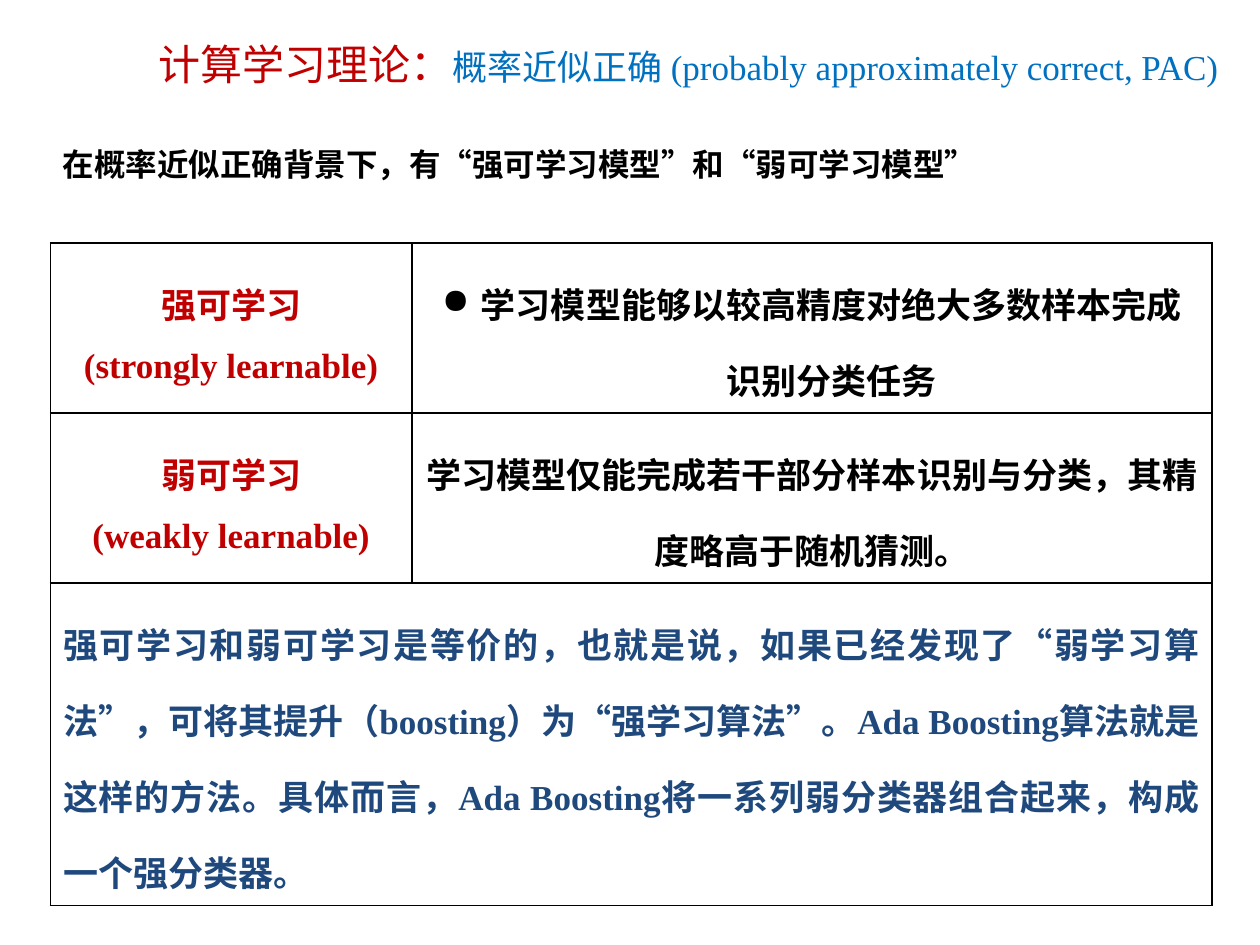
import pptx
import pptx.dml.color
import pptx.enum.text
import pptx.oxml
import pptx.oxml.ns
import pptx.util

Inches = pptx.util.Inches
Align = pptx.enum.text.PP_ALIGN
Anchor = pptx.enum.text.MSO_ANCHOR
FONT = "Times New Roman"
RED, BLUE, NAVY, BLACK = "C00000", "0070C0", "1F497D", "000000"
CELL_FORMAT = {"margin_left": Inches(0.1), "margin_right": Inches(0.1),
               "margin_top": Inches(0.07), "margin_bottom": Inches(0.07)}


def set_attributes(target, values):
    for name, value in values.items():
        setattr(target, name, value)


def set_color(color_format, value):
    color_format.rgb = pptx.dml.color.RGBColor.from_string(value)


def add_run(paragraph, text, size, color, bold):
    run = paragraph.add_run()
    run.text = text
    set_attributes(run.font, {"name": FONT, "size": pptx.util.Pt(size), "bold": bold})
    set_color(run.font.color, color)


def add_text(slide, box, frame_format, runs, paragraph_format):
    shape = slide.shapes.add_textbox(*map(Inches, box))
    set_attributes(shape.text_frame, frame_format)
    paragraph = shape.text_frame.paragraphs[0]
    set_attributes(paragraph, paragraph_format)
    for run in runs:
        add_run(paragraph, *run)


def add_bullet(paragraph, character, indent):
    properties = paragraph._p.get_or_add_pPr()
    properties.set("marL", str(indent))
    properties.set("indent", str(-indent))
    bullet = pptx.oxml.parse_xml(
        f'<a:buChar {pptx.oxml.ns.nsdecls("a")} char="{character}"/>')
    properties.append(bullet)


def set_borders(cell, color, width):
    properties = cell._tc.get_or_add_tcPr()
    for position, side in enumerate(("lnL", "lnR", "lnT", "lnB")):
        line = pptx.oxml.parse_xml(
            f'<a:{side} {pptx.oxml.ns.nsdecls("a")} w="{pptx.util.Pt(width)}">'
            f'<a:solidFill><a:srgbClr val="{color}"/></a:solidFill></a:{side}>')
        properties.insert(position, line)


def fill_cell(cell, lines, color, alignment=Align.CENTER, bullet=None):
    for index, text in enumerate(lines):
        frame = cell.text_frame
        paragraph = frame.add_paragraph() if index else frame.paragraphs[0]
        set_attributes(paragraph, {"alignment": alignment, "line_spacing": 1.5})
        if bullet:
            add_bullet(paragraph, bullet, Inches(0.31))
        add_run(paragraph, text, 20, color, True)


def add_grid(slide, left, top, widths, heights):
    table = slide.shapes.add_table(
        len(heights), len(widths), Inches(left), Inches(top),
        Inches(sum(widths)), Inches(sum(heights))).table
    set_attributes(table, {"first_row": False, "horz_banding": False})
    for column, width in zip(table.columns, widths):
        column.width = Inches(width)
    for row, height in zip(table.rows, heights):
        row.height = Inches(height)
    for cell in table.iter_cells():
        set_attributes(cell, CELL_FORMAT)
        cell.fill.background()
        set_borders(cell, BLACK, 1)
    return table


def add_learnability_table(slide):
    table = add_grid(slide, 0.4, 1.93, (2.87, 6.35), (1.26, 1.26, 1.93))
    models = (
        (("强可学习", "(strongly learnable)"),
         "学习模型能够以较高精度对绝大多数样本完成识别分类任务", "●"),
        (("弱可学习", "(weakly learnable)"),
         "学习模型仅能完成若干部分样本识别与分类，其精度略高于随机猜测。", None),
    )
    for row, (names, description, bullet) in enumerate(models):
        fill_cell(table.cell(row, 0), names, RED)
        fill_cell(table.cell(row, 1), [description], BLACK, bullet=bullet)
    summary = table.cell(2, 0)
    summary.merge(table.cell(2, 1))
    fill_cell(summary, [
        "强可学习和弱可学习是等价的，也就是说，如果已经发现了“弱学习算法”，"
        "可将其提升（boosting）为“强学习算法”。Ada Boosting算法就是这样的方法。"
        "具体而言，Ada Boosting将一系列弱分类器组合起来，构成一个强分类器。",
    ], NAVY, Align.JUSTIFY)


def main():
    presentation = pptx.Presentation()
    set_attributes(presentation, {"slide_width": Inches(10), "slide_height": Inches(7.5)})
    slide = presentation.slides.add_slide(presentation.slide_layouts[6])
    add_learnability_table(slide)
    add_text(slide, (0.67, 0.27, 9.59, 0.72),
             {"word_wrap": True, "vertical_anchor": Anchor.MIDDLE,
              "margin_top": Inches(0.05), "margin_bottom": Inches(0.25)},
             [("计算学习理论：", 24, RED, False),
              ("概率近似正确 (probably approximately correct, PAC)", 20, BLUE, False)],
             {"alignment": Align.CENTER, "line_spacing": 0.9})
    add_text(slide, (0.4, 1.1, 7.52, 0.4),
             {"word_wrap": False,
              "auto_size": pptx.enum.text.MSO_AUTO_SIZE.SHAPE_TO_FIT_TEXT},
             [("在概率近似正确背景下，有“强可学习模型”和“弱可学习模型”", 18, BLACK, True)],
             {"alignment": Align.LEFT})
    presentation.save("out.pptx")


if __name__ == "__main__":
    main()
